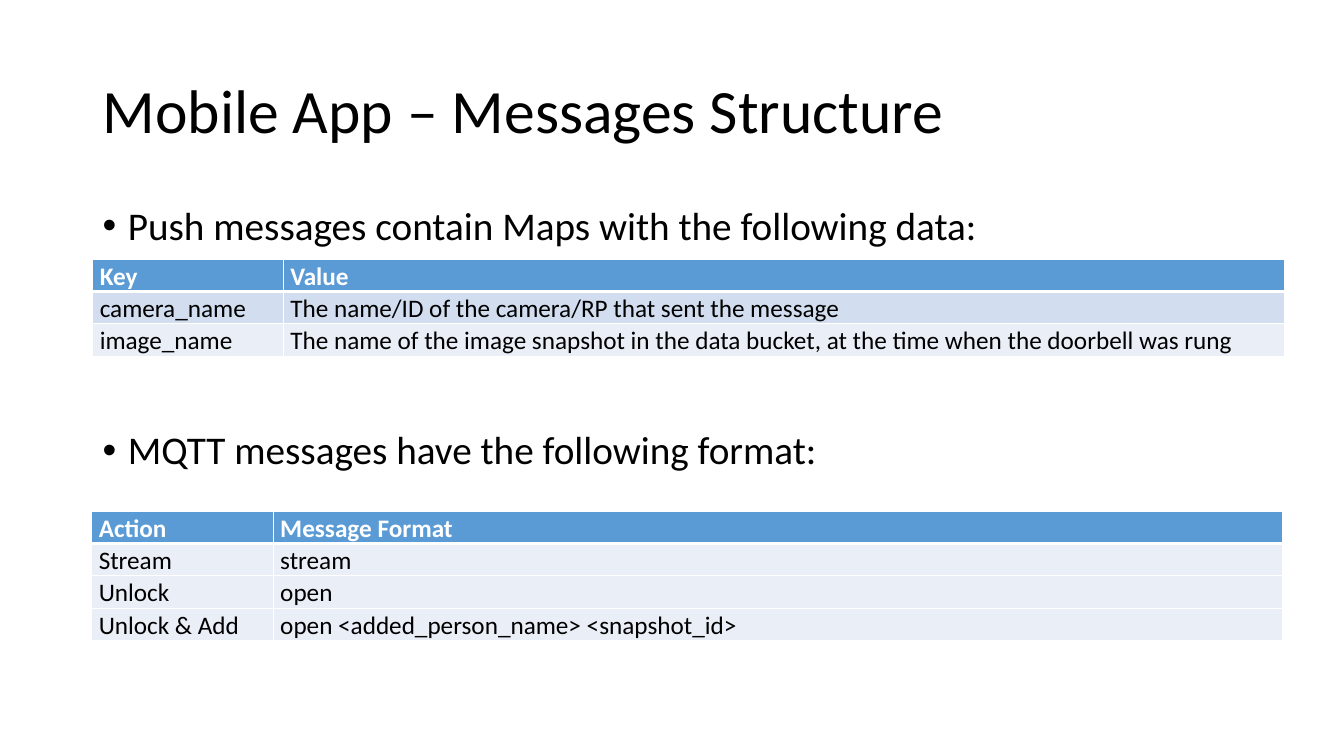
from pptx import Presentation
from pptx.dml.color import RGBColor as RGB
from pptx.enum.text import MSO_ANCHOR as ANCHOR
from pptx.oxml import parse_xml
from pptx.oxml.ns import nsdecls
from pptx.util import Inches, Pt

COLORS = {"text": "000000", "white": "FFFFFF", "header": "5B9BD5",
          "band": "D2DEEF", "pale": "EAEFF7"}
FONT = "Calibri"


class SlideBuilder:
    """Holds the style and the current slide."""

    def __init__(self, prs):
        self.slide = prs.slides.add_slide(prs.slide_layouts[6])

    def run(self, p, text, size, color="text", bold=False):
        r = p.add_run()
        r.text = text
        r.font.name, r.font.size, r.font.bold = FONT, Pt(size), bold
        r.font.color.rgb = RGB.from_string(COLORS[color])

    def text(self, box, lines, size, anchor=ANCHOR.TOP, bullet=False):
        """Add a text box; lines are (text, space before in points)."""
        tf = self.slide.shapes.add_textbox(*map(Inches, box)).text_frame
        tf.word_wrap, tf.vertical_anchor = True, anchor
        for i, (line, before) in enumerate(lines):
            p = tf.add_paragraph() if i else tf.paragraphs[0]
            p.line_spacing, p.space_before = 0.9, Pt(before)
            self.run(p, line, size)
            if bullet:
                self.bullet(p)

    def bullet(self, p):
        pPr = p._p.get_or_add_pPr()
        pPr.set("marL", str(Inches(0.25)))
        pPr.set("indent", str(Inches(-0.25)))
        for xml in ('<a:buFont %s typeface="Arial"/>', '<a:buChar %s char="•"/>'):
            pPr.append(parse_xml(xml % nsdecls("a")))

    def borders(self, cell, top, bottom):
        """White cell borders; they come before the fill in the cell XML."""
        tcPr = cell._tc.get_or_add_tcPr()
        widths = {"L": 1, "R": 1, "T": top, "B": bottom}
        for i, (side, width) in enumerate(widths.items()):
            tcPr.insert(i, parse_xml(
                f'<a:ln{side} {nsdecls("a")} w="{Pt(width)}"><a:solidFill>'
                f'<a:srgbClr val="{COLORS["white"]}"/></a:solidFill></a:ln{side}>'))

    def table(self, left, top, widths, rows, fills):
        height = 0.31
        table = self.slide.shapes.add_table(
            len(rows), len(widths), Inches(left), Inches(top),
            Inches(sum(widths)), Inches(height * len(rows))).table
        for column, width in zip(table.columns, widths):
            column.width = Inches(width)
        for i, (values, fill) in enumerate(zip(rows, fills)):
            header = i == 0
            for j, value in enumerate(values):
                cell = table.cell(i, j)
                cell.margin_left = cell.margin_right = Inches(0.07)
                cell.margin_top = cell.margin_bottom = 0
                cell.fill.solid()
                cell.fill.fore_color.rgb = RGB.from_string(COLORS[fill])
                self.borders(cell, 3 if i == 1 else 1, 3 if header else 1)
                p = cell.text_frame.paragraphs[0]
                p.line_spacing = 1.07
                self.run(p, value, 18, "white" if header else "text", header)


prs = Presentation()
prs.slide_width, prs.slide_height = Inches(13.33), Inches(7.5)
s = SlideBuilder(prs)

# Title
s.text((0.92, 0.4, 11.5, 1.45), [("Mobile App – Messages Structure", 0)], 44,
       ANCHOR.MIDDLE)

# Bullets, with room for the first table between them
s.text((0.92, 2, 12.15, 4.76),
       [("Push messages contain Maps with the following data:", 10),
        ("MQTT messages have the following format:", 130)], 28, bullet=True)

# Push message table
s.table(0.92, 2.57, (1.89, 9.93), [
    ("Key", "Value"),
    ("camera_name", "The name/ID of the camera/RP that sent the message"),
    ("image_name", "The name of the image snapshot in the data bucket, "
                   "at the time when the doorbell was rung"),
], ("header", "band", "pale"))

# MQTT message table
s.table(0.91, 5.07, (1.8, 10.01), [
    ("Action", "Message Format"),
    ("Stream", "stream"),
    ("Unlock", "open"),
    ("Unlock & Add", "open <added_person_name> <snapshot_id>"),
], ("header", "pale", "pale", "pale"))

prs.save("out.pptx")
